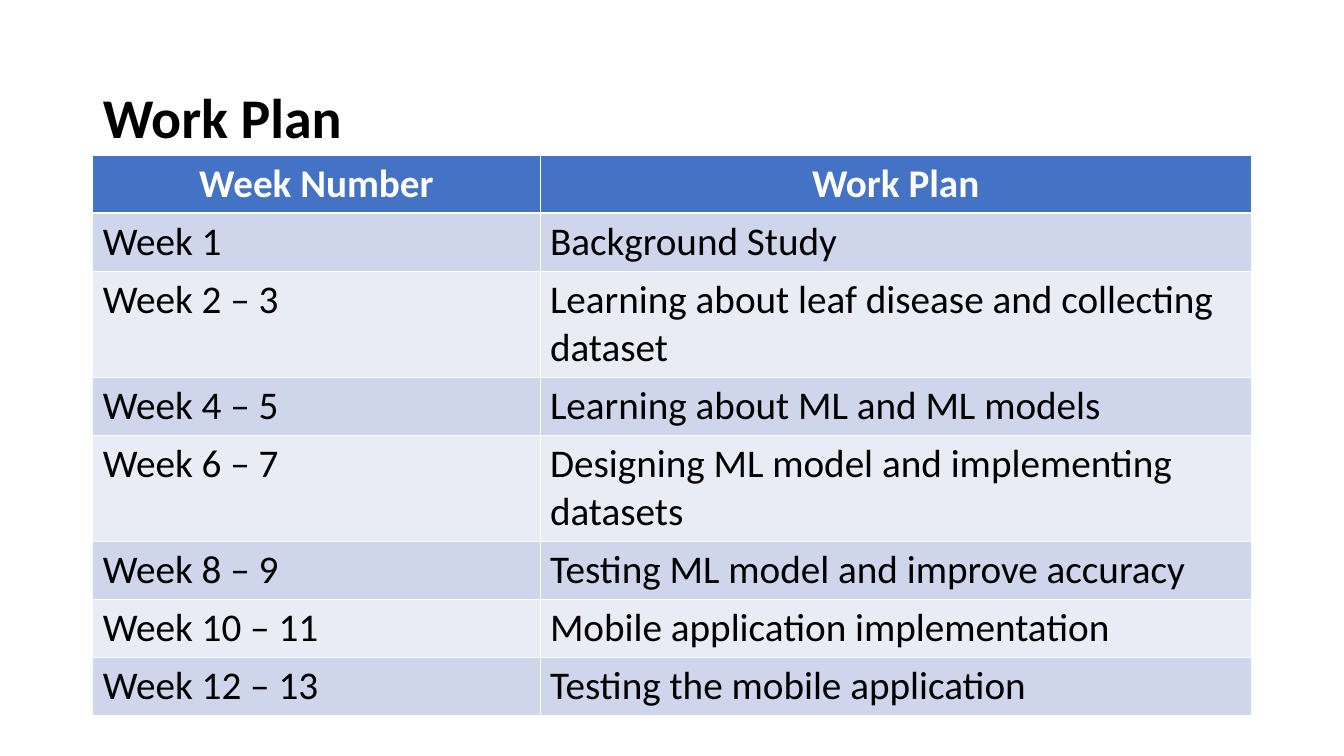
import pptx
import pptx.dml.color
import pptx.enum.text
import pptx.oxml
import pptx.oxml.ns
import pptx.util
from pptx.util import Inches

RGBColor = pptx.dml.color.RGBColor
BLACK = RGBColor(0x00, 0x00, 0x00)
WHITE = RGBColor(0xFF, 0xFF, 0xFF)
HEADER_BLUE = RGBColor(0x44, 0x72, 0xC4)
BAND_DARK = RGBColor(0xCF, 0xD5, 0xEA)
BAND_LIGHT = RGBColor(0xE9, 0xEB, 0xF5)

FONT = "Calibri"
THIN, THICK = 0.45, 1.47
LINE_HEIGHT, WRAPPED_HEIGHT = 0.57, 1.03
WEEK_SHARE = 4.44 / 11.5

HEADER = ("Week Number", "Work Plan")
PLAN = [
    ("Week 1", "Background Study"),
    ("Week 2 – 3", "Learning about leaf disease and collecting dataset"),
    ("Week 4 – 5", "Learning about ML and ML models"),
    ("Week 6 – 7", "Designing ML model and implementing datasets"),
    ("Week 8 – 9", "Testing ML model and improve accuracy"),
    ("Week 10 – 11", "Mobile application implementation"),
    ("Week 12 – 13", "Testing the mobile application"),
]
WRAPPED_ROWS = (2, 4)


def format_paragraph(para, size, color, bold):
    for span in para.runs:
        span.font.name = FONT
        span.font.size = pptx.util.Pt(size)
        span.font.bold = bold
        span.font.color.rgb = color


def set_borders(cell, widths):
    properties = cell._tc.get_or_add_tcPr()
    for position, (side, width) in enumerate(widths.items()):
        border = pptx.oxml.parse_xml(
            f'<a:{side} {pptx.oxml.ns.nsdecls("a")} w="{int(pptx.util.Pt(width))}">'
            f'<a:solidFill><a:srgbClr val="{WHITE}"/></a:solidFill></a:{side}>'
        )
        properties.insert(position, border)


def add_title(page, left, top, width, height):
    title = page.shapes.title
    title.left, title.top = Inches(left), Inches(top)
    title.width, title.height = Inches(width), Inches(height)
    frame = title.text_frame
    frame.text = "Work Plan"
    frame.word_wrap = True
    frame.vertical_anchor = pptx.enum.text.MSO_ANCHOR.BOTTOM
    para = frame.paragraphs[0]
    para.alignment = pptx.enum.text.PP_ALIGN.LEFT
    para.line_spacing = 0.9
    format_paragraph(para, 40, BLACK, True)


def fill_cell(cell, text, row):
    is_header = row == 0
    cell.text = text
    cell.fill.solid()
    if is_header:
        cell.fill.fore_color.rgb = HEADER_BLUE
    else:
        cell.fill.fore_color.rgb = BAND_DARK if row % 2 else BAND_LIGHT
    para = cell.text_frame.paragraphs[0]
    alignments = pptx.enum.text.PP_ALIGN
    para.alignment = alignments.CENTER if is_header else alignments.LEFT
    format_paragraph(para, 28, WHITE if is_header else BLACK, is_header)
    set_borders(cell, {
        "lnL": THIN,
        "lnR": THIN,
        "lnT": THICK if row == 1 else THIN,
        "lnB": THICK if is_header else THIN,
    })


def add_plan_table(page, left, top, width):
    rows = [HEADER] + PLAN
    heights = [WRAPPED_HEIGHT if row in WRAPPED_ROWS else LINE_HEIGHT
               for row in range(len(rows))]
    table = page.shapes.add_table(
        len(rows), len(HEADER), Inches(left), Inches(top),
        Inches(width), Inches(sum(heights))).table
    for column, share in zip(table.columns, (WEEK_SHARE, 1 - WEEK_SHARE)):
        column.width = Inches(width * share)
    for row, (texts, height) in enumerate(zip(rows, heights)):
        table.rows[row].height = Inches(height)
        for column, text in enumerate(texts):
            fill_cell(table.cell(row, column), text, row)


def main():
    deck = pptx.Presentation()
    deck.slide_width, deck.slide_height = Inches(13.34), Inches(7.5)
    page = deck.slides.add_slide(deck.slide_layouts[5])
    page.background.fill.solid()
    page.background.fill.fore_color.rgb = WHITE
    add_title(page, 0.92, 0.4, 11.5, 1.14)
    add_plan_table(page, 0.92, 1.54, 11.5)
    deck.save("out.pptx")


if __name__ == "__main__":
    main()
